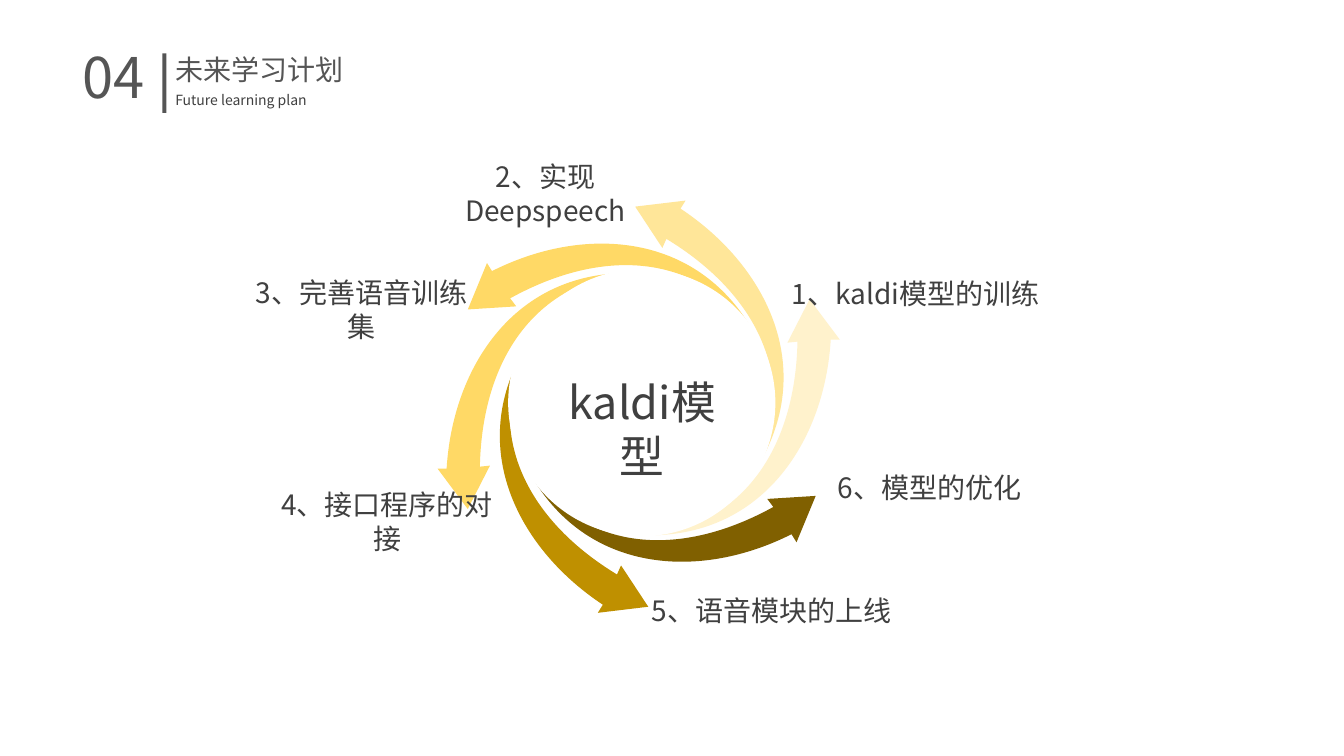
import pptx
import pptx.util
import pptx.dml.color
import pptx.enum.shapes
import pptx.enum.text
import pptx.oxml.ns
import lxml.etree

Inches = pptx.util.Inches
Shape = pptx.enum.shapes.MSO_SHAPE
Align = pptx.enum.text.PP_ALIGN
Anchor = pptx.enum.text.MSO_ANCHOR
qn = pptx.oxml.ns.qn

THEME = {
    "font": "Noto Sans CJK SC",
    "ink": "404040", "head": "555555", "white": "FFFFFF",
    "pale": "FFF2CC", "light": "FFE699", "gold": "FFD966",
    "dark": "BF9000", "brown": "806000",
    "small": 10, "body": 20, "hub": 32, "number": 40,
}

STEPS = [
    ("1、kaldi模型的训练", 7.67, 2.69, 2.83),
    ("2、实现Deepspeech", 4.13, 1.7, 2.56),
    ("3、完善语音训练集", 2.31, 2.85, 2.56),
    ("4、接口程序的对接", 2.56, 4.95, 2.56),
    ("5、语音模块的上线", 6.22, 5.83, 2.87),
    ("6、模型的优化", 7.94, 4.61, 2.56),
]

HEADS = [
    ("04", (0.72, 0.37, 0.94, 0.77), "number", "head", Align.LEFT),
    ("未来学习计划", (1.64, 0.47, 2.68, 0.44), "body", "head", Align.JUSTIFY),
    ("Future learning plan", (1.64, 0.86, 2.78, 0.27), "small", "ink", Align.JUSTIFY),
]

ARROWS = [
    {"fills": ("brown", "gold"), "turn": (12.73, 7.99),
     "box": (5.3, 4.77, 2.79, 0.8), "edge": [
        [(5.3, 4.77)], [(5.9, 5.5), (6.8, 5.51), (7.67, 5.03)], [(7.61, 4.95)],
        [(8.09, 4.92)], [(7.9, 5.38)], [(7.85, 5.3)],
        [(6.96, 5.75), (5.87, 5.69), (5.3, 4.77)]]},
    {"fills": ("light", "dark"), "turn": (12.73, 8.07),
     "box": (6.3, 1.99, 1.47, 2.56), "edge": [
        [(6.8, 1.99)], [(6.75, 2.07)], [(7.58, 2.62), (8.08, 3.59), (7.56, 4.55)],
        [(7.9, 3.67), (7.45, 2.88), (6.61, 2.37)], [(6.57, 2.46)], [(6.3, 2.05)]]},
    {"fills": ("gold", "pale"), "turn": (12.67, 8.02),
     "box": (4.34, 2.71, 1.83, 2.34), "edge": [
        [(6.17, 2.71)], [(5.24, 2.86), (4.78, 3.64), (4.76, 4.63)], [(4.86, 4.62)],
        [(4.64, 5.05)], [(4.34, 4.65)], [(4.43, 4.65)],
        [(4.49, 3.66), (5.08, 2.74), (6.17, 2.71)]]},
]


def color(name):
    return pptx.dml.color.RGBColor.from_string(THEME[name])


def paint(shape, fill):
    shape.shadow.inherit = False
    shape.fill.solid()
    shape.fill.fore_color.rgb = color(fill)
    shape.line.fill.background()


def add_block(slide, kind, box, fill):
    shape = slide.shapes.add_shape(kind, *map(Inches, box))
    paint(shape, fill)
    return shape


def write(shape, text, size="body", ink="ink", align=Align.CENTER,
          anchor=Anchor.TOP, wrap=True, side=0.1):
    frame = shape.text_frame
    frame.word_wrap = wrap
    frame.vertical_anchor = anchor
    frame.margin_left = frame.margin_right = Inches(side)
    para = frame.paragraphs[0]
    para.alignment = align
    run = para.add_run()
    run.text = text
    run.font.size = pptx.util.Pt(THEME[size])
    run.font.name = THEME["font"]
    run.font.color.rgb = color(ink)
    east = lxml.etree.SubElement(run.font._element, qn("a:ea"))
    east.set("typeface", THEME["font"])


def add_arrow(slide, box, edge, fill):
    left, top, width, height = map(Inches, box)
    pen = slide.shapes.build_freeform(left, top)
    pen.add_line_segments([(left + width, top), (left + width, top + height)])
    shape = pen.convert_to_shape()
    paint(shape, fill)
    outline = next(shape._element.iter(qn("a:path")))
    for child in list(outline):
        outline.remove(child)
    for index, points in enumerate(edge):
        tag = "cubicBezTo" if len(points) == 3 else "lnTo" if index else "moveTo"
        move = lxml.etree.SubElement(outline, qn("a:" + tag))
        for x, y in points:
            spot = lxml.etree.SubElement(move, qn("a:pt"))
            spot.set("x", str(Inches(x) - left))
            spot.set("y", str(Inches(y) - top))
    lxml.etree.SubElement(outline, qn("a:close"))


def main():
    deck = pptx.Presentation()
    deck.slide_width, deck.slide_height = Inches(13.33), Inches(7.5)
    slide = deck.slides.add_slide(deck.slide_layouts[6])

    for arrow in ARROWS:
        edge, box = arrow["edge"], arrow["box"]
        left, top, width, height = box
        across, down = arrow["turn"]
        turned = [[(across - x, down - y) for x, y in part] for part in edge]
        flip = (across - left - width, down - top - height, width, height)
        base, mate = arrow["fills"]
        add_arrow(slide, box, edge, base)
        add_arrow(slide, flip, turned, mate)

    for text, left, top, width in STEPS:
        box = slide.shapes.add_textbox(*map(Inches, (left, top, width, 0.44)))
        write(box, text, anchor=Anchor.MIDDLE)

    add_block(slide, Shape.OVAL, (5.04, 2.67, 2.65, 2.65), "white")
    hub = add_block(slide, Shape.RECTANGLE, (5.27, 3.67, 2.2, 0.64), "white")
    write(hub, "kaldi模型", size="hub", side=0.2)

    add_block(slide, Shape.RECTANGLE, (1.61, 0.53, 0.04, 0.59), "head")
    for text, place, size, ink, align in HEADS:
        box = slide.shapes.add_textbox(*map(Inches, place))
        write(box, text, size=size, ink=ink, align=align, wrap=size != "number")

    deck.save("out.pptx")


if __name__ == "__main__":
    main()
